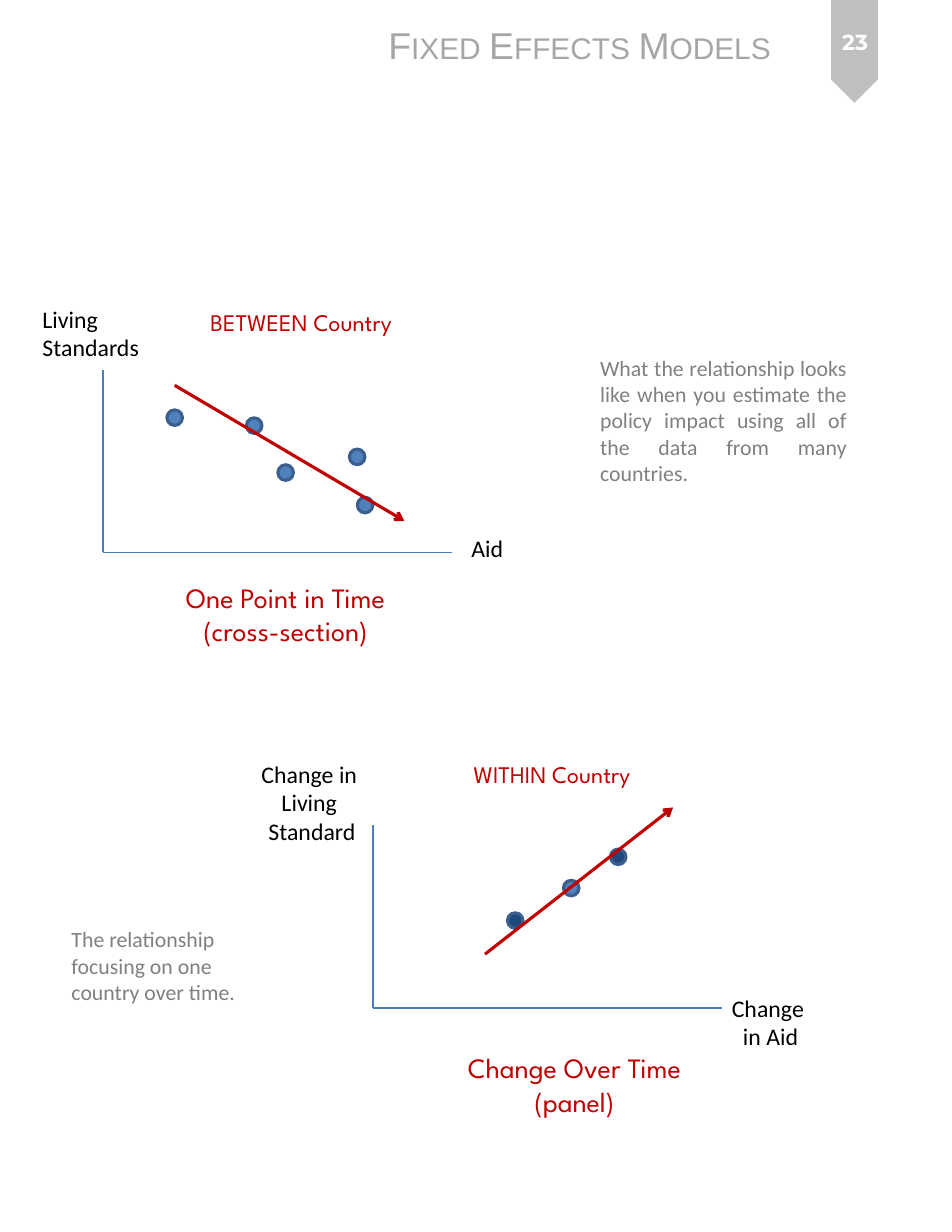
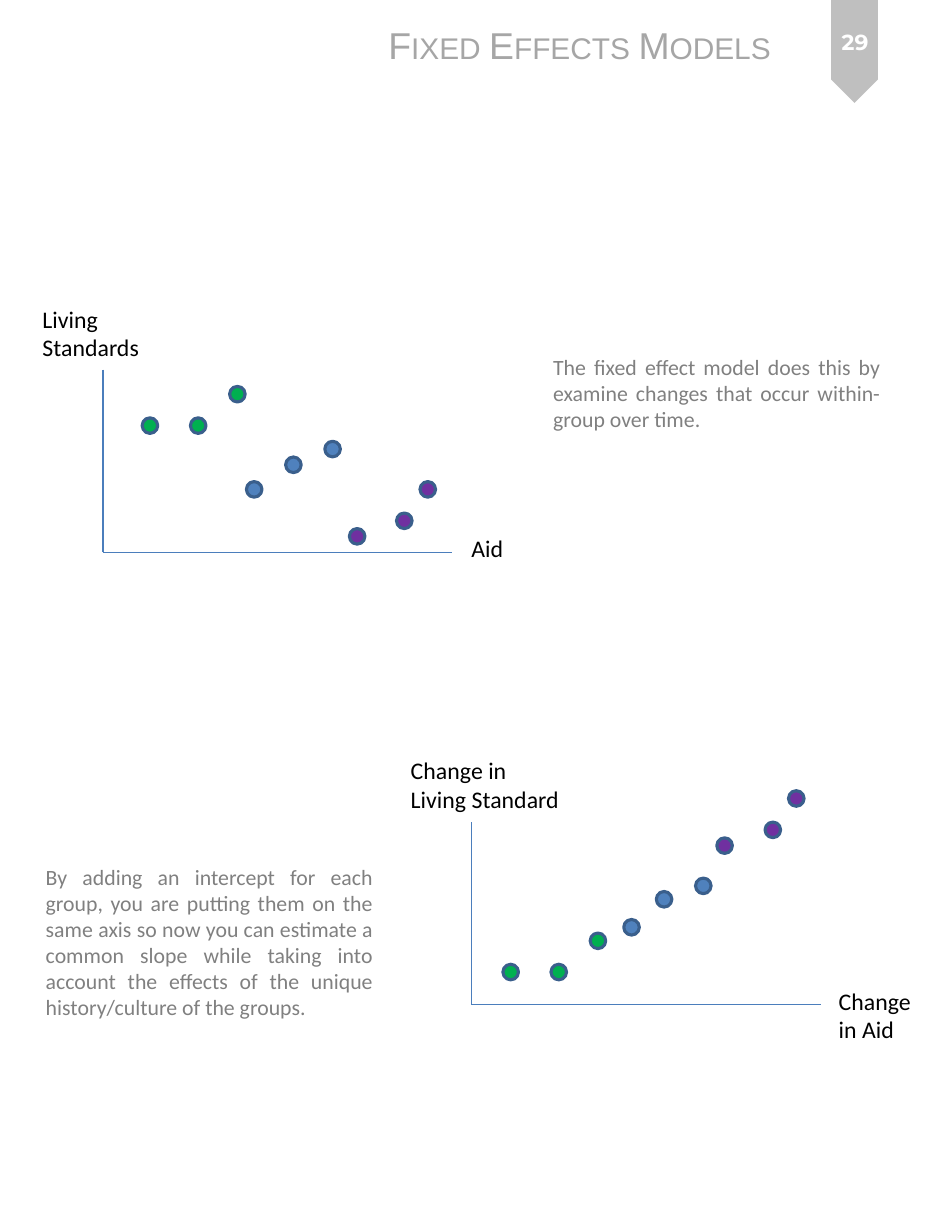
from copy import deepcopy
from pptx import Presentation
from pptx.dml.color import RGBColor
from pptx.enum.shapes import MSO_CONNECTOR, MSO_SHAPE
from pptx.enum.text import MSO_ANCHOR, MSO_AUTO_SIZE, PP_ALIGN
from pptx.oxml.ns import qn
from pptx.util import Pt
from lxml.etree import SubElement

WHITE = RGBColor(0xFF, 0xFF, 0xFF)
BLACK = RGBColor(0, 0, 0)
BAND = RGBColor(0xBF, 0xBF, 0xBF)
TITLE = RGBColor(0xA6, 0xA6, 0xA6)
GRAY = RGBColor(0x80, 0x80, 0x80)
RED = RGBColor(0xC0, 0, 0)
AXIS = RGBColor(0x4B, 0x7E, 0xBC)
RIM = RGBColor(0x3A, 0x5F, 0x8C)
BLUE = RGBColor(0x4F, 0x81, 0xBD)
NAVY = RGBColor(0x1F, 0x49, 0x7D)
GREEN = RGBColor(0, 0xB0, 0x50)
PURPLE = RGBColor(0x70, 0x30, 0xA0)

LEFT, MID, JUST = PP_ALIGN.LEFT, PP_ALIGN.CENTER, PP_ALIGN.JUSTIFY
WIDE, HIGH = 224.6, 117.4
DOT = 10


class Deck:
    def __init__(self):
        self.prs = Presentation()
        self.prs.slide_width = Pt(612)
        self.prs.slide_height = Pt(792)
        self.slide = None

    def page(self, num):
        self.slide = self.prs.slides.add_slide(self.prs.slide_layouts[6])
        flag = self.shape(MSO_SHAPE.PENTAGON, (516.2, 18, 66.2, 30.2), BAND)
        flag.rotation = 90
        flag.line.fill.background()
        head = self.text("Fixed Effects Models", (242.6, 10.8, 265, 36),
                         "Arial", 24, TITLE)
        run = head.text_frame.paragraphs[0].runs[0]
        run.font._element.set("cap", "small")
        mark = self.text(num, (522.7, 5.8, 54, 42.5),
                         "Montserrat", 14, WHITE, MID, True)
        mark.text_frame.auto_size = MSO_AUTO_SIZE.NONE
        mark.text_frame.vertical_anchor = MSO_ANCHOR.MIDDLE
        mark.text_frame.paragraphs[0].runs[0].font.bold = True

    def shape(self, kind, box, fill):
        shape = self.slide.shapes.add_shape(kind, *map(Pt, box))
        shape.shadow.inherit = False
        shape.fill.solid()
        shape.fill.fore_color.rgb = fill
        return shape

    def text(self, words, box, font, size, color, align=LEFT, wrap=False):
        shape = self.slide.shapes.add_textbox(*map(Pt, box))
        frame = shape.text_frame
        frame.text = words
        frame.word_wrap = wrap
        frame.auto_size = MSO_AUTO_SIZE.SHAPE_TO_FIT_TEXT
        for para in frame.paragraphs:
            para.alignment = align
            for run in para.runs:
                run.font.name = font
                run.font.size = Pt(size)
                run.font.color.rgb = color
            for gap in para._p.findall(qn("a:br")):
                gap.insert(0, deepcopy(para.runs[0].font._element))
        return shape

    def label(self, words, box, align=LEFT):
        self.text(words, box, "Calibri", 15.3, BLACK, align)

    def note(self, words, box, align=JUST):
        self.text(words, box, "Calibri", 14, GRAY, align, True)

    def topic(self, words, left, top):
        self.text(words, (left, top, 162.7, 25.9),
                  "League Spartan", 15.3, RED, LEFT, True)

    def caption(self, words, box):
        self.text(words, box, "League Spartan", 18, RED, MID)

    def line(self, ends, color, width):
        line = self.slide.shapes.add_connector(
            MSO_CONNECTOR.STRAIGHT, *map(Pt, ends))
        line.line.color.rgb = color
        line.line.width = Pt(width)
        SubElement(line._element.spPr, qn("a:effectLst"))
        return line

    def arrow(self, *ends):
        line = self.line(ends, RED, 2)
        SubElement(line.line._get_or_add_ln(), qn("a:tailEnd"), type="arrow")

    def axes(self, left, top):
        base = top + HIGH
        self.line((left, top, left, base), AXIS, 0.75)
        self.line((left, base, left + WIDE, base), AXIS, 0.75)

    def dots(self, color, *spots):
        for left, top in spots:
            dot = self.shape(MSO_SHAPE.OVAL, (left, top, DOT, DOT), color)
            dot.line.color.rgb = RIM
            dot.line.width = Pt(2)

    def levels(self):
        self.axes(66.2, 237.6)
        self.label("Living\vStandards", (20.2, 192.2, 77, 44.6))
        self.label("Aid", (295.9, 339.8, 35.3, 25.9))


def compare(deck):
    deck.page("23")
    deck.levels()
    deck.dots(BLUE, (224.6, 288.7), (158.4, 268.6), (107.3, 263.5),
              (178.6, 298.8), (229.7, 319.7))
    deck.arrow(112.3, 247.7, 259.9, 334.8)
    deck.topic("BETWEEN Country", 128.2, 194.4)
    deck.caption("One Point in Time\n(cross-section)", (100.1, 369.4, 167, 51.1))
    deck.note("What the relationship looks like when you estimate the policy "
              "impact using all of the data from many countries.",
              (378.7, 224.6, 172.8, 92.2))

    deck.axes(239.8, 530.6)
    deck.dots(BLUE, (362.2, 565.9))
    deck.dots(NAVY, (326.2, 586.8), (392.4, 545.8))
    deck.arrow(311.8, 613.4, 432.7, 519.1)
    deck.label("Change in \vLiving \vStandard", (160.6, 484.6, 79.9, 62.6), MID)
    deck.label("Change \vin Aid", (463, 635, 64.8, 44.6), MID)
    deck.topic("WITHIN Country", 297.4, 484.6)
    deck.caption("Change Over Time\n(panel)", (278.6, 671.8, 181.4, 51.1))
    deck.note("The relationship focusing on one country over time.",
              (38.9, 591.8, 129.6, 58.3), LEFT)


def adjust(deck):
    deck.page("29")
    deck.levels()
    deck.dots(GREEN, (147.6, 248.4), (122.4, 268.6), (91.4, 268.6))
    deck.dots(BLUE, (158.4, 309.6), (183.6, 293.8), (208.8, 283.7))
    deck.dots(PURPLE, (224.6, 339.8), (254.9, 329.8), (270, 309.6))
    deck.note("The fixed effect model does this by examine changes that occur "
              "within-group over time.", (348.5, 223.9, 224.6, 58.3))

    deck.axes(303.1, 528.5)
    deck.dots(GREEN, (379.4, 599.8), (354.2, 619.9), (323.3, 619.9))
    deck.dots(BLUE, (401, 591.1), (421.9, 573.1), (447.1, 564.5))
    deck.dots(PURPLE, (460.8, 538.6), (491.8, 528.5), (506.9, 508.3))
    deck.label("Change in \vLiving Standard", (257, 482.4, 110.2, 44.6))
    deck.label("Change \vin Aid", (532.1, 630.7, 64.8, 44.6))
    deck.note("By adding an intercept for each group, you are putting them on "
              "the same axis so now you can estimate a common slope while "
              "taking into account the effects of the unique history/culture "
              "of the groups.", (22.3, 551.5, 224.6, 108.7))


def main():
    deck = Deck()
    compare(deck)
    adjust(deck)
    deck.prs.save("out.pptx")


if __name__ == "__main__":
    main()
